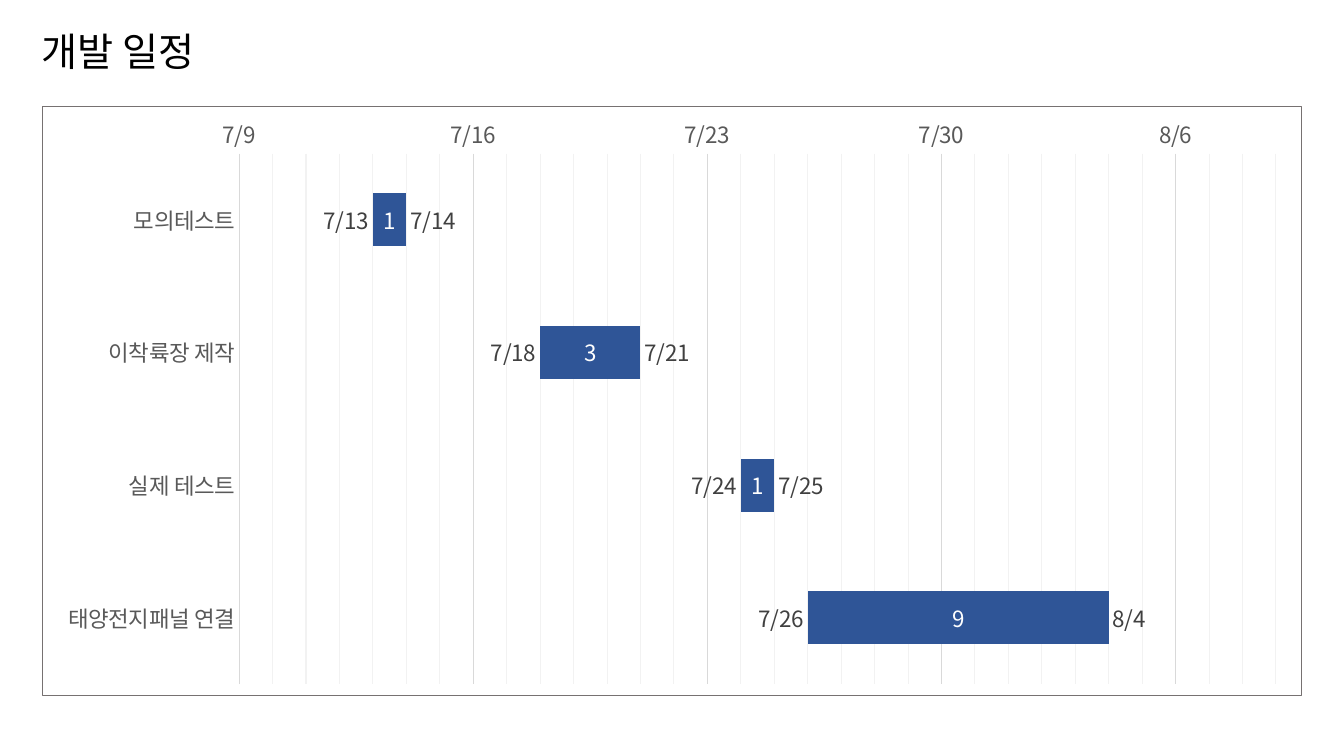
import pptx
import pptx.chart.data
import pptx.dml.color
import pptx.enum.chart
import pptx.enum.text
import pptx.oxml
import pptx.oxml.ns
import pptx.util

Inches = pptx.util.Inches
Pt = pptx.util.Pt
qn = pptx.oxml.ns.qn
LabelPosition = pptx.enum.chart.XL_LABEL_POSITION

FONT = "Noto Sans CJK KR"
DATE_FORMAT = 'm"/"d;@'
FIRST_DAY, LAST_DAY = 42925, 42956
TASKS = [
    ("모의테스트", 42929, 1),
    ("이착륙장 제작", 42934, 3),
    ("실제 테스트", 42940, 1),
    ("태양전지패널 연결", 42942, 9),
]


def color(hex_value):
    return pptx.dml.color.RGBColor.from_string(hex_value)


def format_font(font, size, hex_value):
    font.name = FONT
    font.size = Pt(size)
    font.bold = False
    font.color.rgb = color(hex_value)


def format_line(line, hex_value, width=0.75):
    line.color.rgb = color(hex_value)
    line.width = Pt(width)


def outline_xml(hex_value, width=0.75):
    return pptx.oxml.parse_xml(
        f'<c:spPr {pptx.oxml.ns.nsdecls("c", "a")}><a:noFill/>'
        f'<a:ln w="{Pt(width)}"><a:solidFill><a:srgbClr val="{hex_value}"/>'
        '</a:solidFill></a:ln></c:spPr>')


def write(frame, text, size=16, hex_value="000000", spacing=1.0,
          align=pptx.enum.text.PP_ALIGN.LEFT):
    paragraph = frame.paragraphs[0]
    paragraph.alignment = align
    paragraph.line_spacing = spacing
    run = paragraph.add_run()
    run.text = text
    format_font(run.font, size, hex_value)


def add_east_asian_font(element):
    for latin in list(element.iter(qn("a:latin"))):
        latin.addnext(pptx.oxml.parse_xml(
            f'<a:ea {pptx.oxml.ns.nsdecls("a")} typeface="{FONT}"/>'))


class ScheduleSlide:
    bar = "2F5597"
    axis_text = "595959"
    date_text = "404040"
    grid = "D9D9D9"
    minor_grid = "F2F2F2"
    border = "767171"

    def __init__(self, deck):
        self.slide = deck.slides.add_slide(deck.slide_layouts[5])

    def title(self, text):
        heading = self.slide.shapes.title
        heading.left, heading.top = Inches(0.31), Inches(0.23)
        heading.width, heading.height = Inches(12.72), Inches(0.6)
        frame = heading.text_frame
        frame.vertical_anchor = pptx.enum.text.MSO_ANCHOR.MIDDLE
        write(frame, text, size=28, spacing=0.9)
        add_east_asian_font(heading.element)

    def gantt(self, tasks):
        schedule = pptx.chart.data.CategoryChartData()
        names, starts, durations = zip(*tasks)
        schedule.categories = names
        schedule.add_series("Series 1", starts)
        schedule.add_series("Series 2", durations)
        schedule.add_series("Series 3", [s + d for s, d in zip(starts, durations)])
        chart = self.slide.shapes.add_chart(
            pptx.enum.chart.XL_CHART_TYPE.BAR_STACKED,
            Inches(0.42), Inches(1.05), Inches(12.49), Inches(5.86), schedule).chart
        chart.has_title = False
        chart.has_legend = False
        format_font(chart.font, 16, "000000")
        plot = chart.plots[0]
        plot.gap_width, plot.overlap = 150, 100
        plot.vary_by_categories = False
        start, duration, end = plot.series
        self.labels(start, self.date_text, LabelPosition.INSIDE_END, DATE_FORMAT)
        self.labels(duration, "FFFFFF", LabelPosition.CENTER)
        self.labels(end, self.date_text, LabelPosition.INSIDE_BASE, DATE_FORMAT)
        for hidden in (start, end):
            hidden.format.fill.background()
            hidden.format.line.fill.background()
        duration.format.fill.solid()
        duration.format.fill.fore_color.rgb = color(self.bar)
        self.axes(chart)
        self.frame(chart)
        add_east_asian_font(chart.element)

    def labels(self, series, hex_value, position, number_format="General"):
        labels = series.data_labels
        labels.show_value = True
        labels.number_format = number_format
        labels.number_format_is_linked = False
        labels.position = position
        format_font(labels.font, 16, hex_value)

    def axes(self, chart):
        tasks, days = chart.category_axis, chart.value_axis
        for axis in (tasks, days):
            axis.major_tick_mark = pptx.enum.chart.XL_TICK_MARK.NONE
            axis.minor_tick_mark = pptx.enum.chart.XL_TICK_MARK.NONE
            format_font(axis.tick_labels.font, 16, self.axis_text)
        tasks.reverse_order = True
        format_line(tasks.format.line, self.grid)
        days.minimum_scale, days.maximum_scale = FIRST_DAY, LAST_DAY
        days.major_unit, days.minor_unit = 7, 1
        days.tick_labels.number_format = DATE_FORMAT
        days.tick_labels.number_format_is_linked = False
        days.format.line.fill.background()
        days.has_major_gridlines = days.has_minor_gridlines = True
        format_line(days.major_gridlines.format.line, self.grid)
        day_lines = next(chart.element.iter(qn("c:minorGridlines")))
        day_lines.append(outline_xml(self.minor_grid))

    def frame(self, chart):
        body = chart.element.find(qn("c:chart"))
        body.addnext(outline_xml(self.border))
        area = body.find(qn("c:plotArea"))
        for layout in area.findall(qn("c:layout")):
            area.remove(layout)
        bounds = "".join(f'<c:{side} val="{share}"/>' for side, share in
                         (("x", 0.156), ("y", 0.08), ("w", 0.824), ("h", 0.9)))
        area.insert(0, pptx.oxml.parse_xml(
            f'<c:layout {pptx.oxml.ns.nsdecls("c")}><c:manualLayout>'
            '<c:layoutTarget val="inner"/><c:xMode val="edge"/>'
            f'<c:yMode val="edge"/>{bounds}</c:manualLayout></c:layout>'))


def main():
    deck = pptx.Presentation()
    deck.slide_width, deck.slide_height = Inches(13.33), Inches(7.5)
    schedule = ScheduleSlide(deck)
    schedule.title("개발 일정")
    schedule.gantt(TASKS)
    deck.save("out.pptx")


if __name__ == "__main__":
    main()
